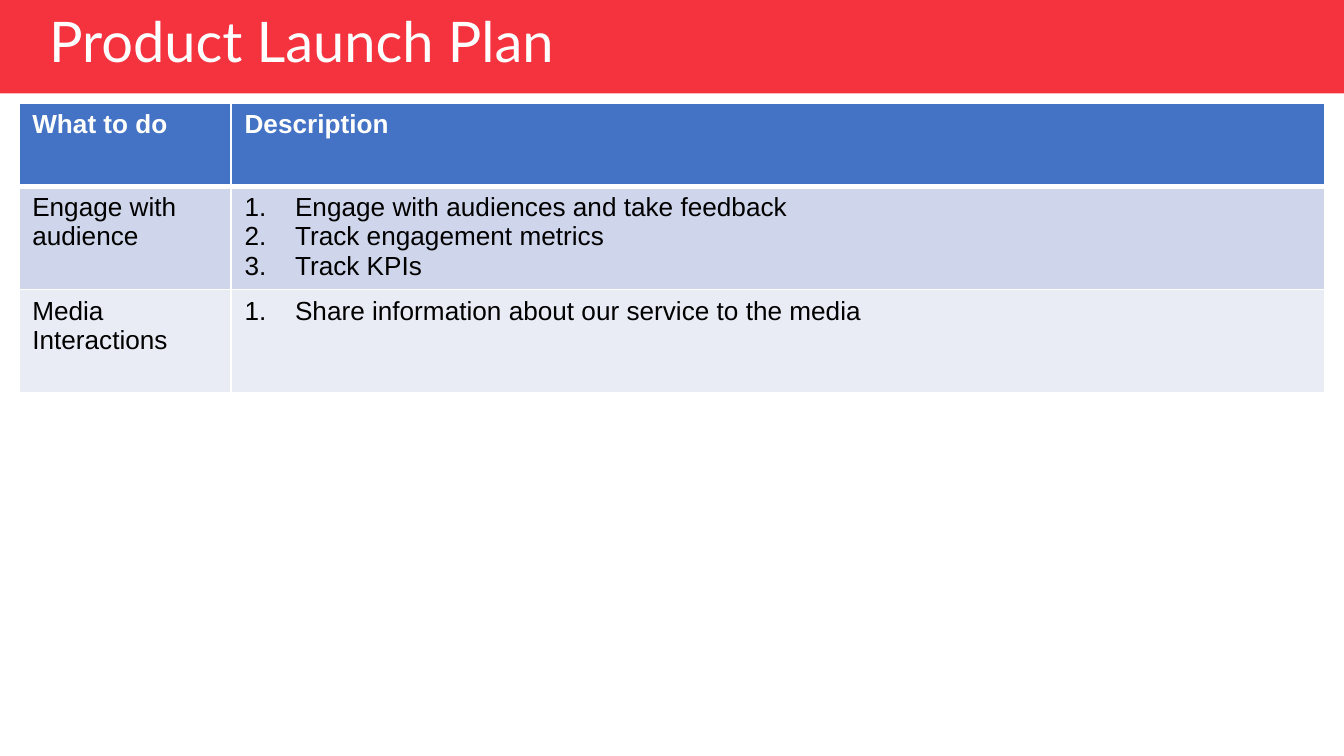
"""Build the product launch plan slide with its title band and task table."""
from lxml import etree
from pptx import Presentation
from pptx.dml.color import RGBColor
from pptx.enum.shapes import MSO_SHAPE
from pptx.enum.text import MSO_ANCHOR, MSO_AUTO_SIZE, PP_ALIGN
from pptx.oxml.ns import qn
from pptx.util import Pt

RECTANGLE = MSO_SHAPE.RECTANGLE
MIDDLE = MSO_ANCHOR.MIDDLE
NO_AUTOFIT = MSO_AUTO_SIZE.NONE
LEFT = PP_ALIGN.LEFT
PX = 4572
TITLE_ONLY = 5
COLUMN_WIDTHS = [316, 1628]
ROWS = [
    (124, "4472C4", "What to do", ["Description"]),
    (154, "CFD5EA", "Engage with audience",
     ["Engage with audiences and take feedback", "Track engagement metrics", "Track KPIs"]),
    (154, "E9EBF5", "Media Interactions",
     ["Share information about our service to the media"]),
]


def rgb(color):
    return RGBColor.from_string(color)


def add_run(paragraph, text, font_name, size, color, bold=False):
    run = paragraph.add_run()
    run.text = text
    run.font.name = font_name
    run.font.size = Pt(size)
    run.font.bold = bold
    run.font.color.rgb = rgb(color)


presentation = Presentation()
presentation.slide_width = 2000 * PX
presentation.slide_height = 1125 * PX
slide = presentation.slides.add_slide(presentation.slide_layouts[TITLE_ONLY])

band = slide.shapes.add_shape(RECTANGLE, 0, 0, 2000 * PX, 139 * PX)
band.shadow.inherit = False
band.fill.solid()
band.fill.fore_color.rgb = rgb("F5333F")
band.line.fill.background()

title = slide.shapes.title
band.element.addnext(title.element)
title.left, title.top, title.width, title.height = 53 * PX, 24 * PX, 1278 * PX, 84 * PX
title_frame = title.text_frame
title_frame.auto_size = NO_AUTOFIT
title_frame.vertical_anchor = MIDDLE
title_paragraph = title_frame.paragraphs[0]
title_paragraph.alignment = LEFT
title_paragraph.line_spacing = 0.9
add_run(title_paragraph, "Product Launch Plan", "Lato", 30, "FFFFFF")

table = slide.shapes.add_table(
    len(ROWS), len(COLUMN_WIDTHS), 28 * PX, 153 * PX,
    sum(COLUMN_WIDTHS) * PX, sum(row[0] for row in ROWS) * PX).table
for column, width in zip(table.columns, COLUMN_WIDTHS):
    column.width = width * PX

for row_index, (height, fill_color, task, descriptions) in enumerate(ROWS):
    table.rows[row_index].height = height * PX
    is_header = row_index == 0
    text_color = "FFFFFF" if is_header else "000000"
    for column_index, lines in enumerate([[task], descriptions]):
        cell = table.cell(row_index, column_index)
        cell_properties = cell._tc.get_or_add_tcPr()
        for side in ("lnL", "lnR", "lnT", "lnB"):
            below_header = (row_index, side) in ((0, "lnB"), (1, "lnT"))
            border = etree.SubElement(cell_properties, qn(f"a:{side}"))
            border.set("w", str(Pt(3 if below_header else 1)))
            border_fill = etree.SubElement(border, qn("a:solidFill"))
            etree.SubElement(border_fill, qn("a:srgbClr")).set("val", "FFFFFF")
        cell.fill.solid()
        cell.fill.fore_color.rgb = rgb(fill_color)
        for line_index, line in enumerate(lines):
            text_frame = cell.text_frame
            paragraph = text_frame.add_paragraph() if line_index else text_frame.paragraphs[0]
            add_run(paragraph, line, "Arial", 14, text_color, is_header)
            if column_index == 1 and not is_header:
                properties = paragraph._p.get_or_add_pPr()
                properties.set("marL", str(75 * PX))
                properties.set("indent", str(-75 * PX))
                bullet_font = etree.SubElement(properties, qn("a:buFont"))
                bullet_font.set("typeface", "+mj-lt")
                numbering = etree.SubElement(properties, qn("a:buAutoNum"))
                numbering.set("type", "arabicPeriod")

presentation.save("out.pptx")
